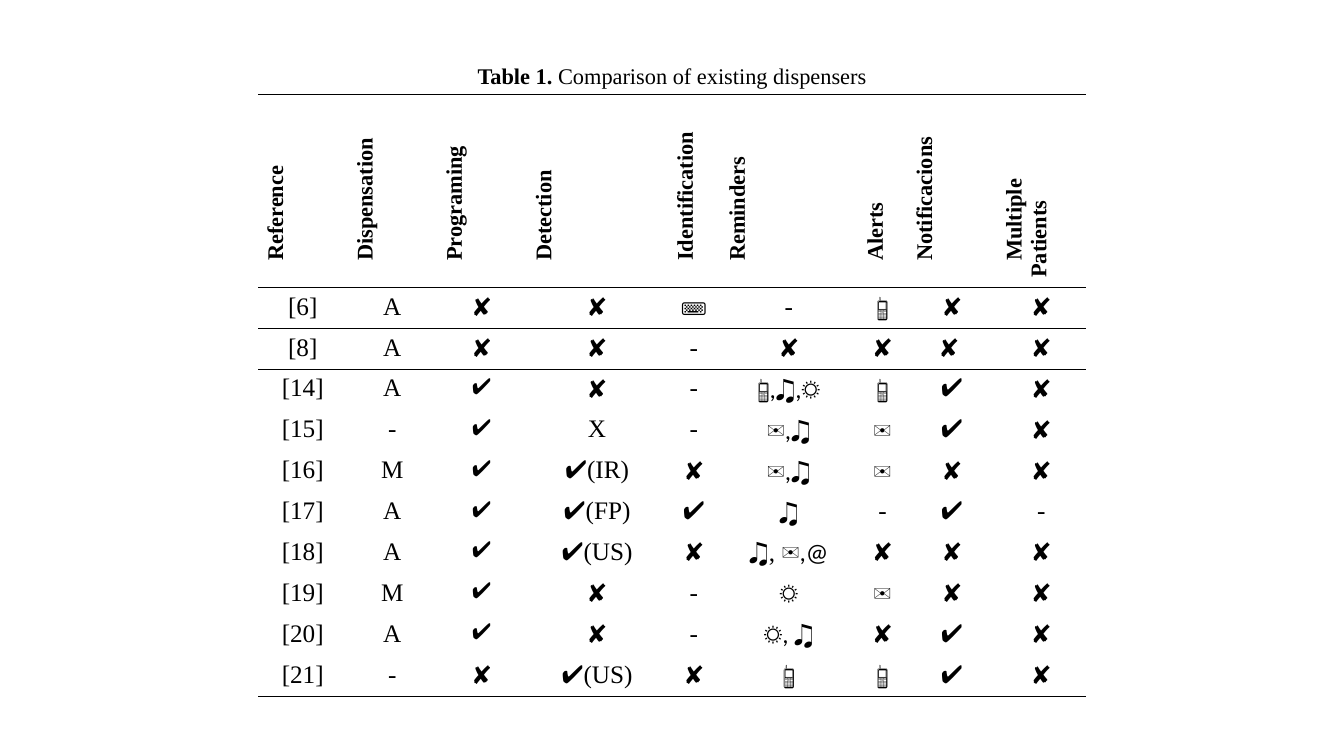
from lxml.etree import SubElement
from pptx import Presentation
from pptx.dml.color import RGBColor as Color
from pptx.enum.text import MSO_ANCHOR as Anchor, PP_ALIGN as Align
from pptx.oxml.ns import qn
from pptx.util import Pt

TITLE = [("Table 1. ", True), ("Comparison of existing dispensers", False)]
HEADS = ["Reference", "Dispensation", "Programing", "Detection", "Identification",
         "Reminders", "Alerts", "Notificacions", "Multiple Patients"]
ROWS = [
    ["[6]", "A", "✘", "✘", "⌨️", "-", "📱", "✘", "✘"],
    ["[8]", "A", "✘", "✘", "-", "✘", "✘", "✘ ", "✘"],
    ["[14]", "A", "✔", "✘", "-", "📱,♫,☼", "📱", "✔", "✘"],
    ["[15]", "-", "✔", "X", "-", "✉,♫", "✉", "✔", "✘"],
    ["[16]", "M", "✔️", "✔(IR)", "✘", "✉,♫", "✉", "✘", "✘"],
    ["[17]", "A", "✔", "✔(FP)", "✔", "♫", "-", "✔", "-"],
    ["[18]", "A", "✔", "✔(US)", "✘", ("♫", ", ", "✉,@"), "✘", "✘", "✘"],
    ["[19]", "M", "✔", "✘", "-", "☼", "✉", "✘", "✘"],
    ["[20]", "A", "✔", "✘", "-", "☼, ♫", "✘", "✔", "✘"],
    ["[21]", "-", "✘", "✔(US)", "✘", "📱", "📱", "✔", "✘"],
]
THEME = {
    "ink": Color(0, 0, 0), "paper": Color(255, 255, 255),
    "serif": "Times New Roman", "sans": "Calibri",
    "small": Pt(16), "large": Pt(18), "rule": Pt(1),
    "plain": "{2D5ABB26-0587-4C30-8999-92F81FD0307C}",
}
SIGNS = set("✘📱♫☼✉")
LEFT, TOP = 184.3, 42
WIDTHS = [63.9] * 3 + [101, 37.2, 98.6, 35.2] + [63.9] * 2
HEIGHTS = [25.6, 137.9] + [29.15] * len(ROWS)
RULED = {0, 1, 2, len(HEIGHTS) - 1}


def write(para, text, **form):
    run = para.add_run()
    run.text = text
    base = {"name": THEME["serif"], "size": THEME["small"], "bold": False}
    for key, value in {**base, **form}.items():
        setattr(run.font, key, value)
    run.font.color.rgb = THEME["ink"]


def rule(cell, *sides):
    props = cell._tc.get_or_add_tcPr()
    for spot, side in enumerate(sides):
        line = SubElement(props, qn("a:" + side), w=str(THEME["rule"]))
        fill = SubElement(line, qn("a:solidFill"))
        SubElement(fill, qn("a:srgbClr"), val=str(THEME["ink"]))
        props.remove(line)
        props.insert(spot, line)


def paint(cell):
    cell.fill.solid()
    cell.fill.fore_color.rgb = THEME["paper"]


def head(cell, text):
    cell.vertical_anchor = Anchor.MIDDLE
    cell._tc.get_or_add_tcPr().set("vert", "vert270")
    para = cell.text_frame.paragraphs[0]
    para._p.get_or_add_pPr().set("indent", str(Pt(12)))
    write(para, text, bold=True)
    paint(cell)


def mark(cell, text, col):
    para = cell.text_frame.paragraphs[0]
    para.alignment = Align.CENTER
    small = col == 2 and text.startswith("✔")
    for part in [text] if isinstance(text, str) else text:
        write(para, part, size=THEME["small" if small else "large"],
              name=THEME["sans" if SIGNS & set(part) else "serif"])


def main():
    deck = Presentation()
    deck.slide_width, deck.slide_height = Pt(960), Pt(540)
    slide = deck.slides.add_slide(deck.slide_layouts[6])
    frame = slide.shapes.add_table(len(HEIGHTS), len(WIDTHS), Pt(LEFT), Pt(TOP),
                                   Pt(sum(WIDTHS)), Pt(sum(HEIGHTS)))
    table = frame.table
    table.first_row = table.horz_banding = False
    table._tbl.tblPr.find(qn("a:tableStyleId")).text = THEME["plain"]
    for col, width in zip(table.columns, WIDTHS):
        col.width = Pt(width)
    for row, height in zip(table.rows, HEIGHTS):
        row.height = Pt(height)

    title = table.cell(0, 0)
    title.merge(table.cell(0, len(WIDTHS) - 1))
    title.vertical_anchor = Anchor.MIDDLE
    para = title.text_frame.paragraphs[0]
    para.alignment = Align.CENTER
    for text, bold in TITLE:
        write(para, text, bold=bold)

    for col, text in enumerate(HEADS):
        head(table.cell(1, col), text)
    for row, line in enumerate(ROWS, 2):
        for col, text in enumerate(line):
            cell = table.cell(row, col)
            mark(cell, text, col)
            if row == 2:
                cell.fill.background()
            else:
                paint(cell)

    for row in range(len(HEIGHTS)):
        sides = [side for side, edge in (("lnT", row - 1), ("lnB", row)) if edge in RULED]
        for col in range(len(WIDTHS)):
            rule(table.cell(row, col), *sides)
    deck.save("out.pptx")


if __name__ == "__main__":
    main()
